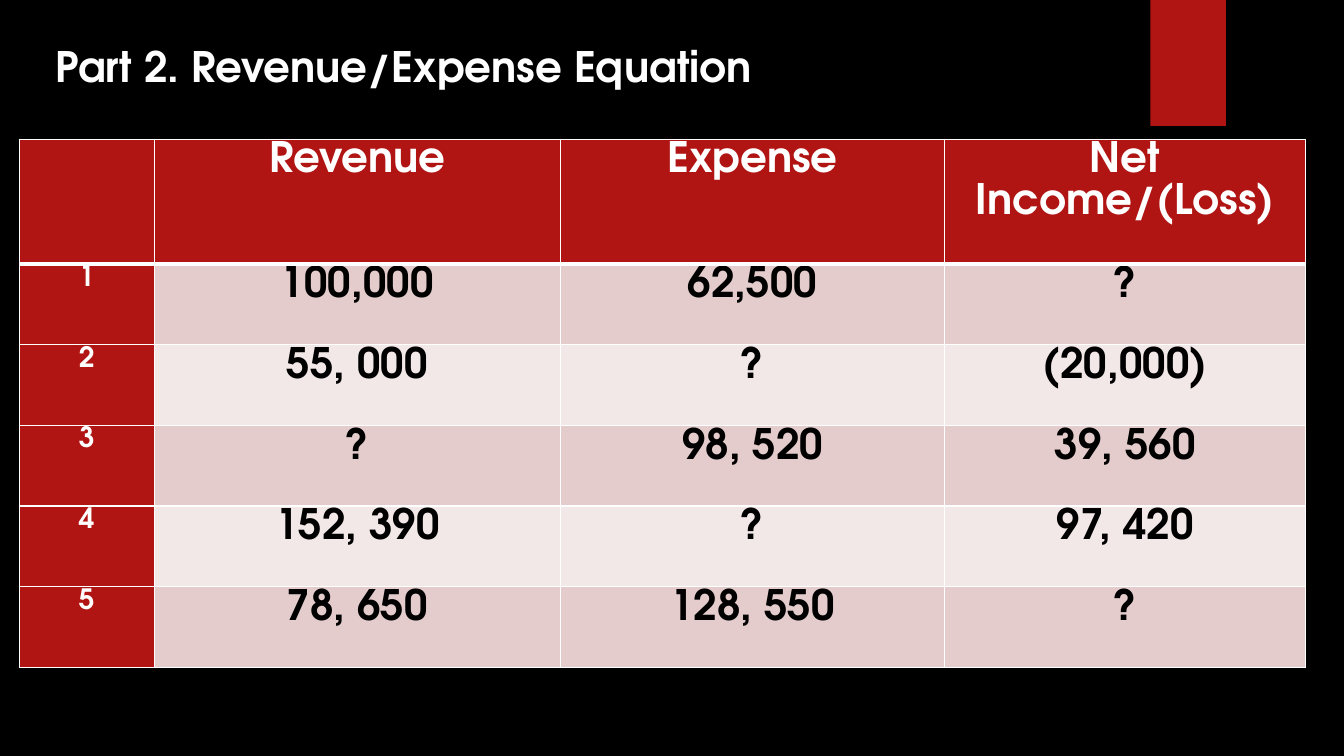
from lxml.etree import SubElement
from pptx import Presentation
from pptx.dml.color import RGBColor
from pptx.enum.shapes import MSO_SHAPE as Shape
from pptx.enum.text import MSO_ANCHOR as Anchor, PP_ALIGN as Align
from pptx.oxml import parse_xml
from pptx.oxml.ns import nsdecls, qn
from pptx.util import Inches, Pt

FONT = "TeX Gyre Adventor"
RED, WHITE, BLACK = "B01513", "FFFFFF", "000000"
BANDS = ["E4CCCC", "F2E8E7"]
COLS = [1.34, 4.03, 3.81, 3.58]
HEAD, ROW = 1.24, 0.8
ROWS = [
    ["", "Revenue", "Expense", "Net Income/(Loss)"],
    ["1", "100,000", "62,500", "?"],
    ["2", "55, 000", "?", "(20,000)"],
    ["3", "?", "98, 520", "39, 560"],
    ["4", "152, 390", "?", "97, 420"],
    ["5", "78, 650", "128, 550", "?"],
]


def paint(fill, color):
    """Give a fill one solid colour."""
    fill.solid()
    fill.fore_color.rgb = RGBColor.from_string(color)


def style(para, size, color):
    """Set the bold slide font on a paragraph."""
    font = para.font
    font.name, font.size, font.bold = FONT, Pt(size), True
    font.color.rgb = RGBColor.from_string(color)


def add_title(slide, left, top, width, height):
    """Place the title in its box."""
    title = slide.shapes.title
    title.left, title.top = Inches(left), Inches(top)
    title.width, title.height = Inches(width), Inches(height)
    frame = title.text_frame
    frame.text = "Part 2. Revenue/Expense Equation"
    frame.word_wrap = True
    frame.vertical_anchor = Anchor.TOP
    para = frame.paragraphs[0]
    para.alignment = Align.LEFT
    para.space_before = Pt(10)
    style(para, 30, WHITE)


def add_tab(slide, left, top, width, height):
    """Hang the red tab with its soft shadow."""
    tab = slide.shapes.add_shape(
        Shape.RECTANGLE, Inches(left), Inches(top), Inches(width), Inches(height))
    paint(tab.fill, RED)
    tab.line.fill.background()
    tab.shadow.inherit = False
    glow = SubElement(
        tab.element.spPr.find(qn("a:effectLst")), qn("a:outerShdw"),
        blurRad=str(Pt(3)), dist=str(Pt(2)), dir="5400000", rotWithShape="0")
    tint = SubElement(glow, qn("a:srgbClr"), val=BLACK)
    SubElement(tint, qn("a:alpha"), val="45000")


def add_edges(cell, above, below):
    """Draw white borders around a cell."""
    props = cell._tc.get_or_add_tcPr()
    sides = [("L", 1), ("R", 1), ("T", above), ("B", below)]
    for spot, (side, width) in enumerate(sides):
        props.insert(spot, parse_xml(
            f'<a:ln{side} {nsdecls("a")} w="{Pt(width)}"><a:solidFill>'
            f'<a:srgbClr val="{WHITE}"/></a:solidFill></a:ln{side}>'))


def fill_cell(cell, text, row, col):
    """Write and colour one table cell."""
    label = row == 0 or col == 0
    paint(cell.fill, RED if label else BANDS[(row - 1) % 2])
    add_edges(cell, 3 if row == 1 else 1, 3 if row == 0 else 1)
    cell.margin_left = cell.margin_right = Inches(0.07)
    cell.margin_top = cell.margin_bottom = 0
    cell.vertical_anchor = Anchor.TOP
    cell.text = text
    para = cell.text_frame.paragraphs[0]
    para.alignment = Align.CENTER
    para.line_spacing = 1.07
    para.space_after = Pt(8)
    style(para, 20 if row and col == 0 else 30, WHITE if label else BLACK)


def add_grid(slide, left, top):
    """Build the revenue and expense table."""
    highs = [HEAD] + [ROW] * (len(ROWS) - 1)
    grid = slide.shapes.add_table(
        len(ROWS), len(COLS), Inches(left), Inches(top),
        Inches(sum(COLS)), Inches(sum(highs))).table
    for col, width in zip(grid.columns, COLS):
        col.width = Inches(width)
    for row, high in zip(grid.rows, highs):
        row.height = Inches(high)
    for row, texts in enumerate(ROWS):
        for col, text in enumerate(texts):
            fill_cell(grid.cell(row, col), text, row, col)


def main():
    """Make the slide and save it."""
    deck = Presentation()
    deck.slide_width, deck.slide_height = Inches(13.33), Inches(7.5)
    slide = deck.slides.add_slide(deck.slide_layouts[5])
    paint(slide.background.fill, BLACK)
    add_tab(slide, 11.41, 0, 0.75, 1.25)
    add_title(slide, 0.45, 0.35, 10.5, 0.8)
    add_grid(slide, 0.19, 1.38)
    deck.save("out.pptx")


if __name__ == "__main__":
    main()
